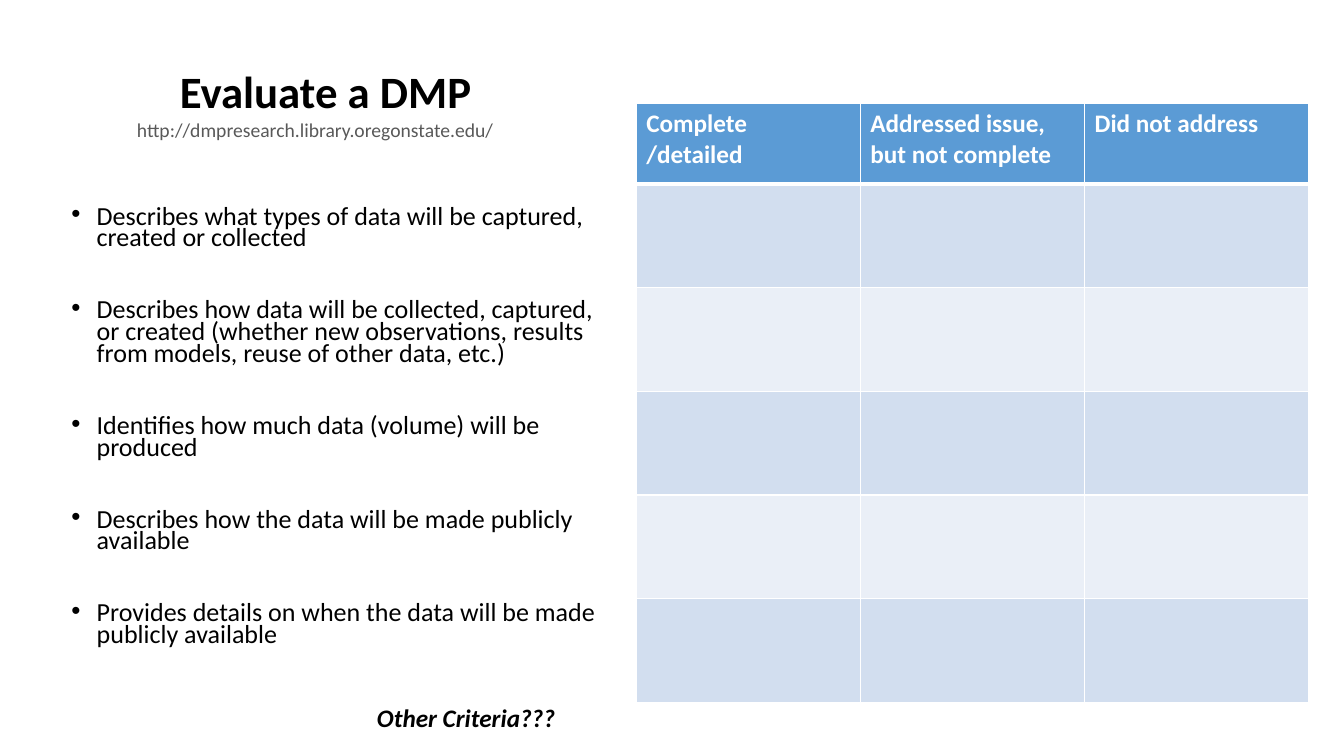
from lxml.etree import SubElement
from pptx import Presentation
from pptx.dml.color import RGBColor
from pptx.enum.text import MSO_ANCHOR, PP_ALIGN
from pptx.oxml.ns import qn
from pptx.util import Inches, Pt

WIDTH, HEIGHT = Inches(13.33), Inches(7.5)
FONT = "Calibri"
BLACK = RGBColor(0, 0, 0)
GREY = RGBColor(0x59, 0x59, 0x59)
WHITE = RGBColor(0xFF, 0xFF, 0xFF)
HEADER_BLUE = RGBColor(0x5B, 0x9B, 0xD5)
BANDS = [RGBColor(0xD2, 0xDE, 0xEF), RGBColor(0xEA, 0xEF, 0xF7)]

RATINGS = ["Complete\n/detailed", "Addressed issue, but not complete", "Did not address"]
CRITERIA = [
    "Describes what types of data will be captured, created or collected",
    "Describes how data will be collected, captured, or created (whether new "
    "observations, results from models, reuse of other data, etc.)",
    "Identifies how much data (volume) will be produced",
    "Describes how the data will be made publicly available",
    "Provides details on when the data will be made publicly available",
]


def across(percent):
    return round(WIDTH * percent / 100)


def down(percent):
    return round(HEIGHT * percent / 100)


def area(left, top, width, height):
    return across(left), down(top), across(width), down(height)


def add_bullet(para):
    properties = para._p.get_or_add_pPr()
    properties.set("marL", str(Inches(0.25)))
    properties.set("indent", str(-Inches(0.25)))
    SubElement(properties, qn("a:buFont")).set("typeface", "Arial")
    SubElement(properties, qn("a:buChar")).set("char", "•")


def write(frame, text, size, color=BLACK, bold=False, italic=False,
          align=PP_ALIGN.LEFT, spacing=None, gap=0, bullet=False):
    for index, line in enumerate(text.split("\n")):
        para = frame.add_paragraph() if index else frame.paragraphs[0]
        para.alignment = align
        if spacing:
            para.line_spacing = spacing
        para.space_before = Pt(gap if index else 0)
        if bullet:
            add_bullet(para)
        span = para.add_run()
        span.text = line
        font = span.font
        font.name, font.size = FONT, Pt(size)
        font.bold, font.italic = bold, italic
        font.color.rgb = color


def add_title(page, text, place):
    title = page.shapes.title
    title.left, title.top, title.width, title.height = place
    title.text_frame.vertical_anchor = MSO_ANCHOR.MIDDLE
    write(title.text_frame, text, 32, bold=True, align=PP_ALIGN.CENTER, spacing=0.9)


def add_text(page, text, place, size, wrap=False, **style):
    frame = page.shapes.add_textbox(*place).text_frame
    frame.word_wrap = wrap
    write(frame, text, size, **style)


def add_borders(cell, top, bottom):
    properties = cell._tc.get_or_add_tcPr()
    sides = {"a:lnL": 1, "a:lnR": 1, "a:lnT": top, "a:lnB": bottom}
    for tag, width in sides.items():
        line = SubElement(properties, qn(tag))
        line.set("w", str(Pt(width)))
        fill = SubElement(line, qn("a:solidFill"))
        SubElement(fill, qn("a:srgbClr")).set("val", str(WHITE))


def add_rating_table(page, place, header_height):
    row_count = len(CRITERIA) + 1
    table = page.shapes.add_table(row_count, len(RATINGS), *place).table
    body_height = (place[3] - header_height) // len(CRITERIA)
    for column in table.columns:
        column.width = place[2] // len(RATINGS)
    for row_index, row in enumerate(table.rows):
        row.height = body_height if row_index else header_height
        for column_index, cell in enumerate(row.cells):
            add_borders(cell, top=3 if row_index == 1 else 1,
                        bottom=1 if row_index else 3)
            cell.fill.solid()
            if row_index:
                cell.fill.fore_color.rgb = BANDS[(row_index - 1) % 2]
            else:
                cell.fill.fore_color.rgb = HEADER_BLUE
                write(cell.text_frame, RATINGS[column_index], 18,
                      color=WHITE, bold=True)


def main():
    deck = Presentation()
    deck.slide_width, deck.slide_height = WIDTH, HEIGHT
    page = deck.slides.add_slide(deck.slide_layouts[5])
    add_title(page, "Evaluate a DMP", area(6.45, 2.8, 35.56, 19.33))
    add_text(page, "\n".join(CRITERIA), area(4.58, 26.8, 40.59, 63.47), 18.6,
             wrap=True, spacing=0.7, gap=35.7, bullet=True)
    add_rating_table(page, area(47.34, 13.73, 50.04, 79.2), down(10.6))
    add_text(page, "http://dmpresearch.library.oregonstate.edu/",
             area(9.45, 14.93, 28.36, 4.53), 14, color=GREY)
    add_text(page, "Other Criteria???", area(27.31, 92.27, 14.93, 5.33), 18,
             bold=True, italic=True)
    deck.save("out.pptx")


if __name__ == "__main__":
    main()
